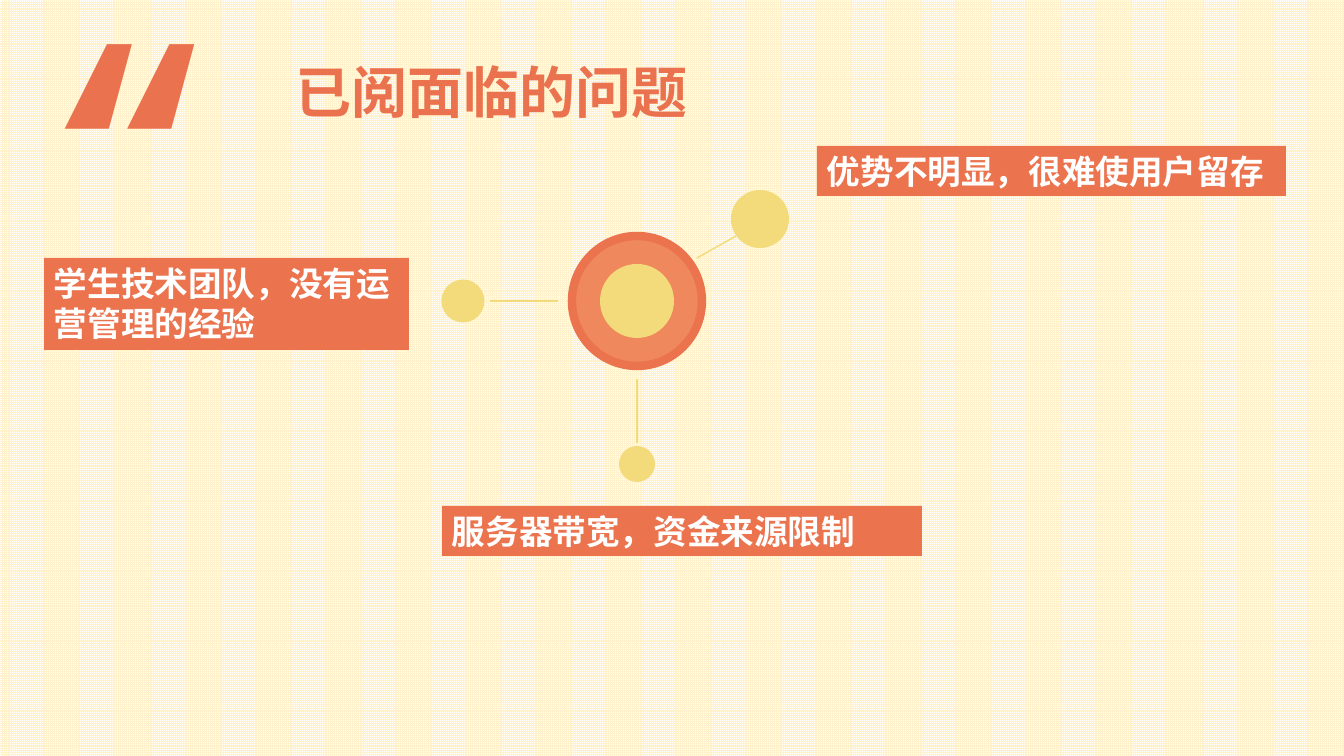
from pptx import Presentation
from pptx.dml.color import RGBColor
from pptx.enum.dml import MSO_PATTERN
from pptx.enum.shapes import MSO_CONNECTOR, MSO_SHAPE
from pptx.enum.text import MSO_ANCHOR, MSO_AUTO_SIZE, PP_ALIGN
from pptx.oxml.ns import qn
from pptx.util import Pt
from lxml import etree

PX = 12192000 / 1344
COLORS = {"orange": "EB734E", "title": "EB724E", "ring": "EF885D",
          "yellow": "F3DB7B", "cream": "FFF2CC", "white": "FFFFFF"}
SANS = "Noto Sans CJK SC"


def px(*lengths):
    return [round(n * PX) for n in lengths]


def add_text(sp, text, size=24, font=SANS, color="white"):
    tf = sp.text_frame
    tf.word_wrap = True
    tf.auto_size = MSO_AUTO_SIZE.SHAPE_TO_FIT_TEXT
    tf.vertical_anchor = MSO_ANCHOR.TOP
    p = tf.paragraphs[0]
    p.alignment = PP_ALIGN.LEFT
    r = p.add_run()
    r.text = text
    r.font.size = Pt(size)
    r.font.bold = True
    r.font.name = font
    r.font.color.rgb = RGBColor.from_string(COLORS[color])
    etree.SubElement(r.font._element, qn("a:ea")).set("typeface", font)


prs = Presentation()
prs.slide_width, prs.slide_height = px(1344, 756)
s = prs.slides.add_slide(prs.slide_layouts[6])

# Grid background
bg = s.background.fill
bg.patterned()
bg.pattern = MSO_PATTERN.SMALL_GRID
bg.fore_color.rgb = RGBColor.from_string(COLORS["cream"])
bg.back_color.rgb = RGBColor.from_string(COLORS["white"])

# Hub and satellites: centre x, centre y, diameter, fill, outline
circles = [
    (637, 301, 130, "ring", "orange"),
    (637, 301, 74, "yellow", None),
    (760, 219, 58, "yellow", None),
    (463, 301, 43, "yellow", None),
    (637, 464, 36, "yellow", None),
]
for cx, cy, d, fill, outline in circles:
    sp = s.shapes.add_shape(MSO_SHAPE.OVAL, *px(cx - d / 2, cy - d / 2, d, d))
    sp.shadow.inherit = False
    sp.fill.solid()
    sp.fill.fore_color.rgb = RGBColor.from_string(COLORS[fill])
    if outline:
        sp.line.color.rgb = RGBColor.from_string(COLORS[outline])
        sp.line.width = Pt(6)
    else:
        sp.line.fill.background()

# Spokes
for ends in [(697, 258, 736, 236), (490, 301, 558, 301), (637, 443, 637, 379)]:
    spoke = s.shapes.add_connector(MSO_CONNECTOR.STRAIGHT, *px(*ends))
    spoke.line.color.rgb = RGBColor.from_string(COLORS["yellow"])
    spoke.line.width = Pt(1)
    etree.SubElement(spoke._element.spPr, qn("a:effectLst"))

# Problem labels
labels = [
    (817, 146, 469, 50, "优势不明显，很难使用户留存"),
    (442, 506, 480, 50, "服务器带宽，资金来源限制"),
    (44, 258, 365, 92, "学生技术团队，没有运营管理的经验"),
]
for x, y, w, h, text in labels:
    sp = s.shapes.add_shape(MSO_SHAPE.RECTANGLE, *px(x, y, w, h))
    sp.shadow.inherit = False
    sp.fill.solid()
    sp.fill.fore_color.rgb = RGBColor.from_string(COLORS["orange"])
    sp.line.fill.background()
    add_text(sp, text)

# Quotation mark and title
quote = s.shapes.add_textbox(*px(37, -37, 231, 348))
add_text(quote, "“", size=199, font="Courier New", color="title")
title = s.shapes.add_textbox(*px(286, 53, 1048, 78))
add_text(title, "已阅面临的问题", size=40, color="title")

prs.save("out.pptx")
